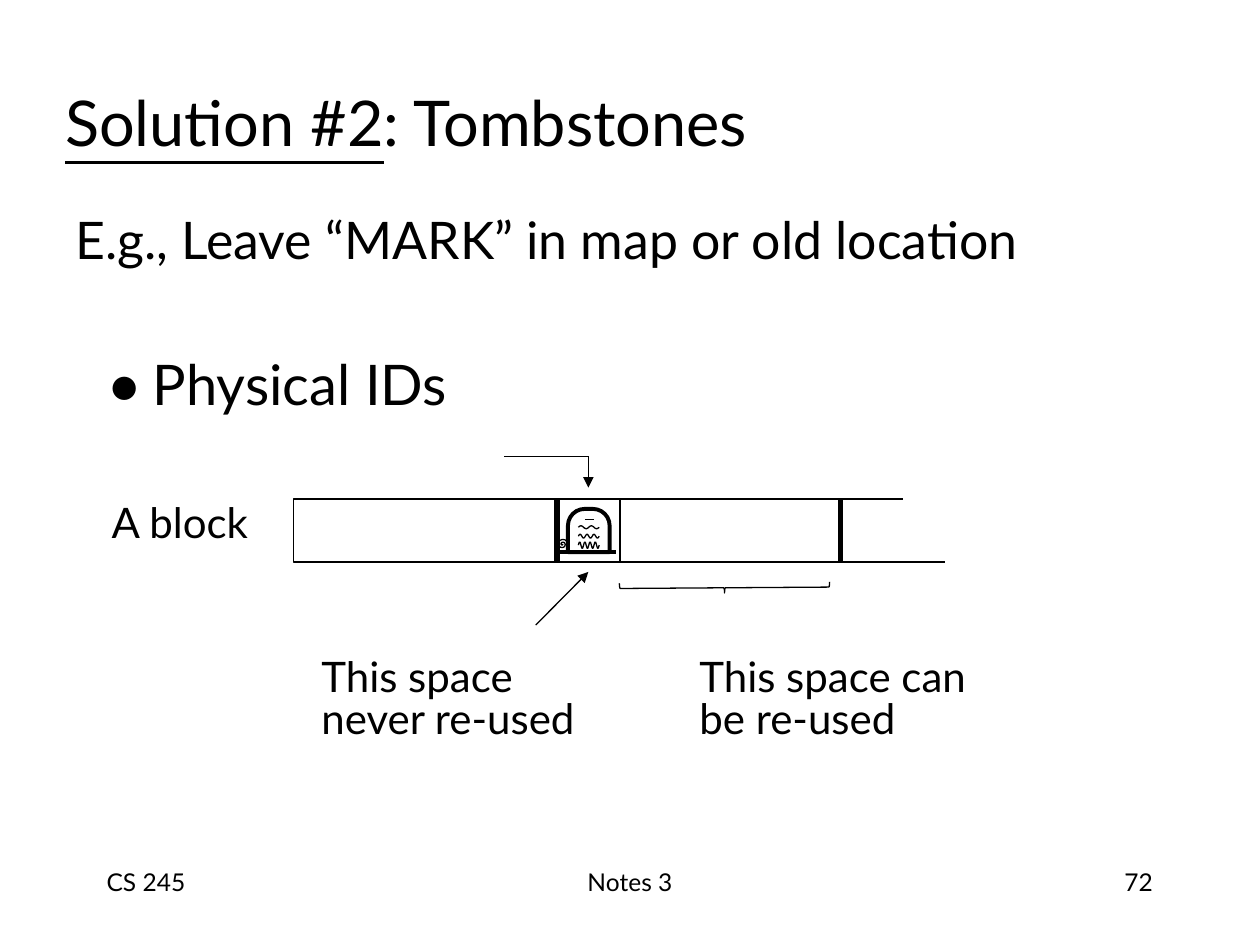
import math
import pptx
import pptx.util
import pptx.dml.color
import pptx.enum.shapes
import pptx.enum.text
import pptx.oxml.ns
import lxml.etree
from dataclasses import dataclass

Cm, Pt = pptx.util.Cm, pptx.util.Pt
RGB = pptx.dml.color.RGBColor
SHAPE = pptx.enum.shapes.MSO_SHAPE
ALIGN = pptx.enum.text.PP_ALIGN
ANCHOR = pptx.enum.text.MSO_ANCHOR


@dataclass(frozen=True)
class Theme:
    font: str = "Lato"
    ink: RGB = RGB(0, 0, 0)
    paper: RGB = RGB(255, 255, 255)
    title: float = 36
    bullet: float = 32
    body: float = 29.6
    label: float = 24
    footer: float = 14
    thin: float = 0.75
    stone: float = 2.25
    thick: float = 3


T = Theme()

BLOCK_TOP, BLOCK_BOTTOM = 10.06, 11.33
CELL_EDGES = [5.92, 11.23, 12.5, 16.94]


def apply(obj, **values):
    for name, value in values.items():
        setattr(obj, name, value)


def add_run(p, text, size, underline=None):
    r = p.add_run()
    r.text = text
    apply(r.font, name=T.font, size=Pt(size), underline=underline)
    r.font.color.rgb = T.ink


def add_text(slide, box, lines, size, align=ALIGN.LEFT, anchor=ANCHOR.TOP,
             inset=0.25, spacing=None):
    sp = slide.shapes.add_textbox(*map(Cm, box))
    tf = sp.text_frame
    apply(tf, word_wrap=True, vertical_anchor=anchor, margin_left=Cm(inset),
          margin_right=Cm(inset), margin_top=Cm(inset / 2), margin_bottom=Cm(inset / 2))
    for i, line in enumerate(lines):
        p = tf.add_paragraph() if i else tf.paragraphs[0]
        apply(p, alignment=align, line_spacing=spacing)
        add_run(p, line, size)
    return sp


def add_bullet(p, indent):
    pPr = p._p.get_or_add_pPr()
    pPr.set("marL", str(Cm(indent)))
    pPr.set("indent", str(-Cm(indent)))
    for tag, key, value in [("a:buSzPct", "val", "112000"),
                            ("a:buFont", "typeface", T.font),
                            ("a:buChar", "char", "•")]:
        el = lxml.etree.SubElement(pPr, pptx.oxml.ns.qn(tag))
        el.set(key, value)


def set_line(sp, width):
    sp.line.color.rgb = T.ink
    sp.line.width = Pt(width)


def add_line(slide, start, end, width=T.thin, arrow=False):
    cxn = slide.shapes.add_connector(pptx.enum.shapes.MSO_CONNECTOR.STRAIGHT,
                                     *map(Cm, start + end))
    set_line(cxn, width)
    if arrow:
        tail = lxml.etree.SubElement(cxn.line._get_or_add_ln(),
                                     pptx.oxml.ns.qn("a:tailEnd"))
        tail.set("type", "triangle")
    lxml.etree.SubElement(cxn._element.spPr, pptx.oxml.ns.qn("a:effectLst"))


def add_preset(slide, kind, box, fill=None, rotation=0, width=T.thin):
    sp = slide.shapes.add_shape(kind, *map(Cm, box))
    sp.shadow.inherit = False
    sp.rotation = rotation
    if fill is None:
        sp.fill.background()
    else:
        sp.fill.solid()
        sp.fill.fore_color.rgb = fill
    set_line(sp, width)
    return sp


def add_curve(slide, points):
    curve = [(Cm(x), Cm(y)) for x, y in points]
    builder = slide.shapes.build_freeform(*curve[0])
    builder.add_line_segments(curve[1:], close=False)
    sp = builder.convert_to_shape()
    sp.shadow.inherit = False
    sp.fill.background()
    set_line(sp, T.thin)


def wave(left, y, width, height, cycles, steps=24):
    for i in range(steps + 1):
        t = i / steps
        yield left + width * t, y - height * math.sin(2 * math.pi * cycles * t)


def spiral(x, y, radius, turns=2, steps=24):
    for i in range(steps + 1):
        t = i / steps
        angle = 2 * math.pi * turns * t
        yield x + radius * t * math.cos(angle), y + radius * t * math.sin(angle)


def add_tombstone(slide):
    ground = 11.13
    stone = add_preset(slide, SHAPE.ROUND_2_SAME_RECTANGLE,
                       (11.45, 10.26, 0.84, ground - 10.26), width=T.stone)
    stone.adjustments[0] = 0.4
    add_line(slide, (11.28, ground), (12.42, ground), T.stone)
    add_line(slide, (11.79, 10.47), (11.97, 10.47))
    for row, (height, cycles) in enumerate([(0.03, 2), (0.04, 3), (0.07, 4)]):
        add_curve(slide, wave(11.66, 10.63 + row * 0.18, 0.42, height, cycles))
    add_curve(slide, spiral(11.34, 10.97, 0.11))


def add_title(slide):
    title = slide.shapes.title
    apply(title, left=Cm(1.06), top=Cm(0.85), width=Cm(21.59), height=Cm(3.18))
    tf = title.text_frame
    apply(tf, vertical_anchor=ANCHOR.MIDDLE, word_wrap=True)
    p = tf.paragraphs[0]
    p.alignment = ALIGN.LEFT
    add_run(p, "Solution #2", T.title, True)
    add_run(p, ": Tombstones", T.title, False)


def add_block(slide):
    for left, right in zip(CELL_EDGES, CELL_EDGES[1:]):
        add_preset(slide, SHAPE.RECTANGLE,
                   (left, BLOCK_TOP, right - left, BLOCK_BOTTOM - BLOCK_TOP), T.paper)
    end = CELL_EDGES[-1]
    add_line(slide, (end, BLOCK_TOP), (18.2, BLOCK_TOP))
    add_line(slide, (end, BLOCK_BOTTOM), (19.05, BLOCK_BOTTOM))
    add_tombstone(slide)
    for x in (CELL_EDGES[1], end):
        add_line(slide, (x, BLOCK_TOP), (x, BLOCK_BOTTOM), T.thick)


def add_pointers(slide):
    x, y = 11.86, 9.2
    add_line(slide, (x, y), (10.16, y))
    add_line(slide, (x, y), (x, 9.83), arrow=True)
    add_line(slide, (10.8, 12.6), (x, 11.53), arrow=True)
    add_preset(slide, SHAPE.RIGHT_BRACE, (14.5, 9.73, 0.21, 4.24), rotation=89.6)


def main():
    prs = pptx.Presentation()
    apply(prs, slide_width=Cm(25.4), slide_height=Cm(19.05))
    slide = prs.slides.add_slide(prs.slide_layouts[5])
    add_title(slide)
    add_text(slide, (1.27, 4.06, 21.59, 1.7),
             ["E.g., Leave “MARK” in map or old location"], T.body)
    sp = add_text(slide, (1.9, 6.67, 8.69, 2.12), ["Physical IDs"], T.bullet,
                  anchor=ANCHOR.MIDDLE)
    add_bullet(sp.text_frame.paragraphs[0], 0.93)
    add_block(slide)
    add_pointers(slide)
    add_text(slide, (2.25, 10, 3.4, 1.1), ["A block"], T.label, inset=0)
    for left, lines in [(6.48, ["This space", "never re-used"]),
                        (14.1, ["This space can", "be re-used"])]:
        add_text(slide, (left, 13.29, 6.2, 1.7), lines, T.label, inset=0,
                 spacing=Pt(T.label))
    for left, width, text, align in [(1.9, 5.29, "CS 245", ALIGN.LEFT),
                                     (8.68, 8.04, "Notes 3", ALIGN.CENTER),
                                     (18.2, 5.29, "72", ALIGN.RIGHT)]:
        add_text(slide, (left, 17.36, width, 1.27), [text], T.footer, align)
    prs.save("out.pptx")


main()
